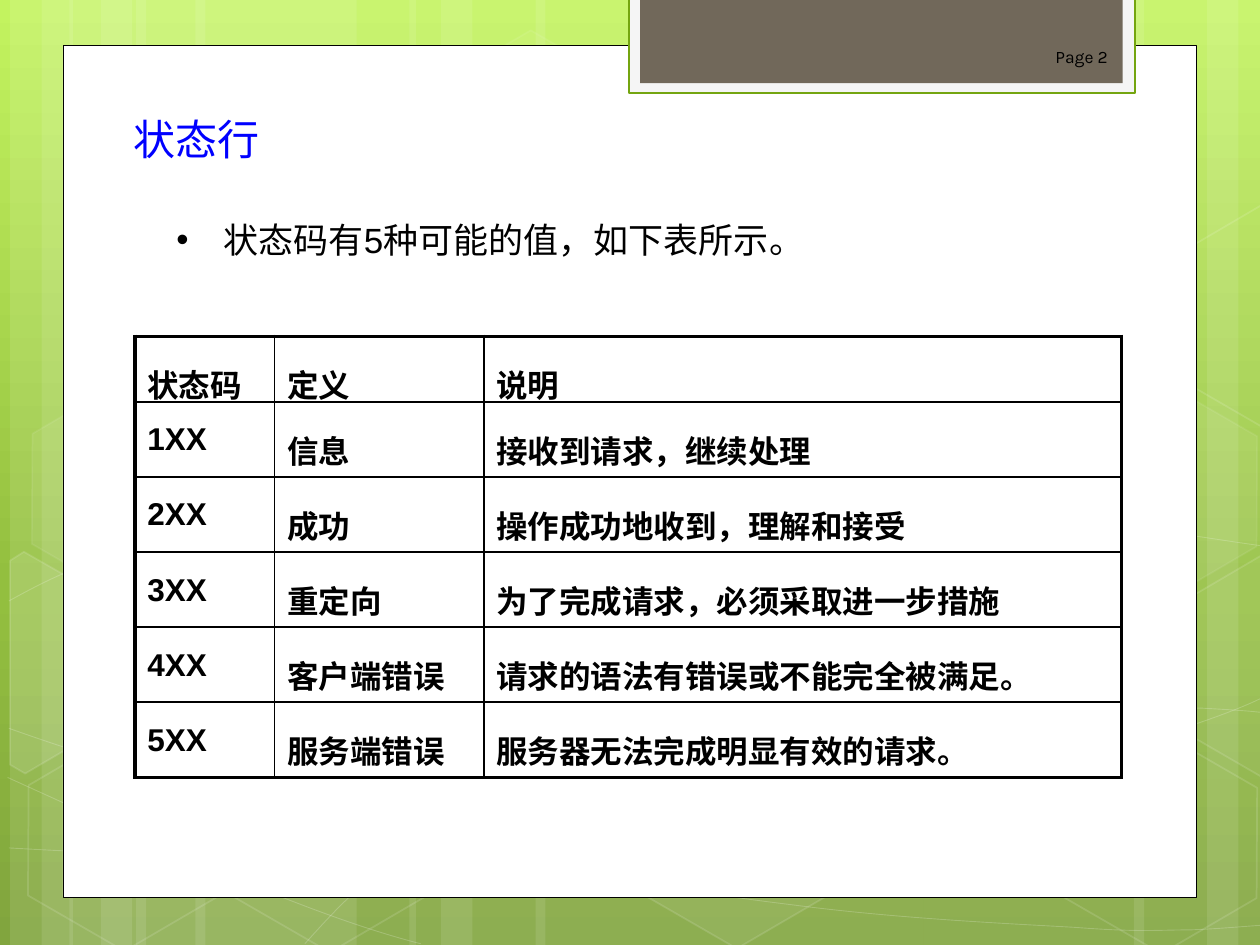
from copy import deepcopy

from lxml.etree import SubElement
from pptx import Presentation
from pptx.dml.color import RGBColor
from pptx.enum.shapes import MSO_SHAPE
from pptx.enum.text import MSO_ANCHOR, MSO_AUTO_SIZE, PP_ALIGN
from pptx.oxml import parse_xml
from pptx.oxml.ns import nsdecls, qn
from pptx.util import Inches, Pt

COLUMNS = 10  # square grid cells across the slide
WHITE, BLACK = "FFFFFF", "000000"

STRIPS = [  # left, width
    (1.08, 1.75), (0.08, 0.5), (0.33, 0.83), (1.55, 1.75), (0.55, 0.5), (0.8, 0.83),
    (7.33, 1.75), (9.58, 0.5), (9, 0.83), (4.25, 3.08), (3.25, 0.5), (3.5, 0.83),
]
CURVES = [  # a start point, then two control points and an end point per segment
    [(0.07, 6.73), (0.61, 6.76), (1.15, 6.79), (1.9, 6.78), (2.65, 6.77), (3.58, 6.75),
     (4.58, 6.65), (5.58, 6.55), (7, 6.36), (7.92, 6.17), (8.83, 5.98), (9.77, 5.68),
     (10.07, 5.51)],
    [(0.07, 4.77), (0.36, 4.61), (0.65, 4.46), (1.21, 4.31), (1.78, 4.16), (2.59, 3.94),
     (3.47, 3.87), (4.36, 3.8), (5.44, 3.79), (6.54, 3.87), (7.64, 3.95), (9.47, 4.26),
     (10.07, 4.34)],
    [(0.06, 6.17), (1.27, 6.72), (2.47, 7.27), (3.34, 7.49)],
    [(0.07, 5.78), (0.38, 5.89), (0.7, 6), (1.28, 6.16), (1.86, 6.31), (2.73, 6.56),
     (3.57, 6.73), (4.4, 6.9), (5.45, 7.08), (6.28, 7.18), (7.11, 7.29), (8, 7.33),
     (8.53, 7.36), (9.05, 7.4), (9.19, 7.38), (9.45, 7.38), (9.71, 7.37), (9.89, 7.35),
     (10.07, 7.34)],
    [(2.42, 7.49), (2.6, 7.29), (2.78, 7.09), (3.02, 6.91), (3.26, 6.73), (3.6, 6.53),
     (3.88, 6.39), (4.16, 6.25), (4.33, 6.19), (4.7, 6.09), (5.06, 5.99), (5.73, 5.85),
     (6.08, 5.78), (6.44, 5.71), (6.49, 5.71), (6.8, 5.69), (7.11, 5.66), (7.6, 5.63),
     (7.94, 5.62), (8.29, 5.61), (8.86, 5.62), (8.86, 5.62), (9.08, 5.62), (9.3, 5.62),
     (9.53, 5.62), (9.71, 5.63), (9.88, 5.64), (9.97, 5.65), (10.06, 5.66), (10.03, 5.65),
     (10.06, 5.66)],
]
HEXAGONS = [  # left, top, fill opacity, line opacity
    (3.34, 0.36, 4, 8), (4.97, 5.89, 6, 12), (0.11, 5.91, 0, 12), (0.14, 3.12, 7, 8),
    (1.74, 5.92, 0, 12), (7.53, 4.53, 10, 12), (8.34, 5.93, 0, 12), (8.34, 3.14, 7, 8),
]
CUT_HEXAGONS = [  # fill opacity, corners
    (10, [(0.08, 4.45), (0.19, 4.38), (0.96, 4.82), (0.95, 5.7), (0.2, 6.14), (0.08, 6.07)]),
    (4, [(9.26, 4.85), (10.01, 4.41), (10.09, 4.46), (10.09, 6.13), (10.02, 6.17), (9.26, 5.73)]),
    (0, [(9.26, 2.07), (10.01, 1.63), (10.1, 1.68), (10.09, 3.35), (10.02, 3.39), (9.26, 2.95)]),
]
STATUS_CODES = [
    ("状态码", "定义", "说明"),
    ("1XX", "信息", "接收到请求，继续处理"),
    ("2XX", "成功", "操作成功地收到，理解和接受"),
    ("3XX", "重定向", "为了完成请求，必须采取进一步措施"),
    ("4XX", "客户端错误", "请求的语法有错误或不能完全被满足。"),
    ("5XX", "服务端错误", "服务器无法完成明显有效的请求。"),
]


def color(hex_code):
    return RGBColor.from_string(hex_code)


def write(frame, text, font="Arial", size=18, ink=BLACK, bold=False,
          align=PP_ALIGN.LEFT, spacing=None, anchor=None):
    if anchor is not None:
        frame.vertical_anchor = anchor
    paragraph = frame.paragraphs[0]
    paragraph.alignment = align
    paragraph.space_before = Pt(0)
    paragraph.line_spacing = spacing
    run = paragraph.add_run()
    run.text = text
    run.font.name, run.font.size, run.font.bold = font, Pt(size), bold
    run.font.color.rgb = color(ink)


def set_opacity(parent, percent):
    shade = parent.find(qn("a:solidFill")).find(qn("a:srgbClr"))
    SubElement(shade, qn("a:alpha")).set("val", str(percent * 1000))


def bend(shape):
    """Turn each three straight segments of an outline into one cubic curve."""
    trail = shape.element.find(".//" + qn("a:path"))
    lines = trail.findall(qn("a:lnTo"))
    for first in range(0, len(lines), 3):
        curve = SubElement(trail, qn("a:cubicBezTo"))
        for line in lines[first:first + 3]:
            curve.append(line[0])
            trail.remove(line)


class SlideBuilder:
    """Holds the slide and its grid; every length is counted in grid cells."""

    def __init__(self, deck):
        self.cell = deck.slide_width / COLUMNS
        self.rows = deck.slide_height / self.cell
        self.slide = deck.slides.add_slide(deck.slide_layouts[1])
        self.shapes = self.slide.shapes

    def span(self, *cells):
        return [round(count * self.cell) for count in cells]

    def background(self, stops, angle):
        fill = self.slide.background.fill
        fill.gradient()
        fill.gradient_angle = angle
        stop_list = self.slide.element.find(".//" + qn("a:gsLst"))
        while len(stop_list) < len(stops):
            stop_list.append(deepcopy(stop_list[0]))
        for stop, (position, shade) in zip(fill.gradient_stops, stops):
            stop.position, stop.color.rgb = position, color(shade)

    def paint(self, shape, fill=WHITE, opacity=100, line=None, width=1, line_opacity=100):
        shape.shadow.inherit = False
        if opacity:
            shape.fill.solid()
            shape.fill.fore_color.rgb = color(fill)
            if opacity < 100:
                set_opacity(shape.element.spPr, opacity)
        else:
            shape.fill.background()
        if line:
            shape.line.color.rgb = color(line)
            shape.line.width = Pt(width)
            if line_opacity < 100:
                set_opacity(shape.element.spPr.find(qn("a:ln")), line_opacity)
        else:
            shape.line.fill.background()

    def preset(self, kind, box, **style):
        shape = self.shapes.add_shape(kind, *self.span(*box))
        self.paint(shape, **style)
        return shape

    def outline(self, points, closed, **style):
        start, *rest = [self.span(*point) for point in points]
        builder = self.shapes.build_freeform(*start, scale=1.0)
        builder.add_line_segments(rest, close=closed)
        shape = builder.convert_to_shape()
        self.paint(shape, line=WHITE, **style)
        return shape

    def hexagon(self, left, top, opacity, line_opacity):
        shape = self.preset(MSO_SHAPE.HEXAGON, (left, top, 1.75, 1.52), opacity=opacity,
                            line=WHITE, line_opacity=line_opacity)
        shape.adjustments[0] = 0.285
        shape.rotation = 30

    def placeholder(self, index, box, text, wrap=True, **style):
        """Fill a placeholder and bring it in front of the backdrop."""
        holder = self.slide.placeholders[index]
        holder.left, holder.top, holder.width, holder.height = self.span(*box)
        holder.element.getparent().append(holder.element)
        frame = holder.text_frame
        frame.word_wrap = wrap
        frame.auto_size = MSO_AUTO_SIZE.SHAPE_TO_FIT_TEXT
        write(frame, text, anchor=MSO_ANCHOR.TOP, **style)

    def label(self, box, text, **style):
        frame = self.shapes.add_textbox(*self.span(*box)).text_frame
        frame.word_wrap = True
        write(frame, text, **style)

    def table(self, left, top, widths, heights, content):
        last_row, last_column = len(heights) - 1, len(widths) - 1
        box = self.span(left, top, sum(widths), sum(heights))
        table = self.shapes.add_table(len(heights), len(widths), *box).table
        table.first_row = table.horz_banding = False
        for column, width in zip(table.columns, self.span(*widths)):
            column.width = width
        for row, height in zip(table.rows, self.span(*heights)):
            row.height = height
        for r, texts in enumerate(content):
            for c, text in enumerate(texts):
                cell = table.cell(r, c)
                write(cell.text_frame, text, bold=True, spacing=1.4)
                cell.fill.background()
                self.borders(cell, L=c == 0, R=c == last_column, T=r == 0, B=r == last_row)

    def borders(self, cell, **outer_sides):
        """Rule every side of a cell, thicker on the table's outer edge."""
        properties = cell._tc.get_or_add_tcPr()
        for position, (side, outer) in enumerate(outer_sides.items()):
            properties.insert(position, parse_xml(
                f'<a:ln{side} {nsdecls("a")} w="{Pt(2.25 if outer else 1)}"><a:solidFill>'
                f'<a:srgbClr val="{BLACK}"/></a:solidFill></a:ln{side}>'))


def main():
    deck = Presentation()
    deck.slide_width, deck.slide_height = Inches(10), Inches(7.5)
    page = SlideBuilder(deck)

    page.background([(0, "C3F35F"), (0.62, "93BF3F"), (1, "81A53E")], angle=270)
    for left, width in STRIPS:
        page.preset(MSO_SHAPE.RECTANGLE, (left, 0, width, page.rows), opacity=10)
    for points in CURVES:
        bend(page.outline(points, False, opacity=0, width=0.5, line_opacity=20))
    for hexagon in HEXAGONS:
        page.hexagon(*hexagon)
    for opacity, corners in CUT_HEXAGONS:
        page.outline(corners, True, opacity=opacity, line_opacity=12)

    page.preset(MSO_SHAPE.RECTANGLE, (0.5, 0.36, 9, 6.76), line=BLACK, width=0.5)
    page.preset(MSO_SHAPE.RECTANGLE, (4.99, -0.02, 4.02, 0.76), fill="F5F5F5",
                line="74A510", width=1.25)
    page.preset(MSO_SHAPE.RECTANGLE, (5.08, -0.02, 3.83, 0.68), fill="71685A")

    page.label((6.56, 0.25, 2.33, 0.4), "Page 2", font="Karla", size=10,
               align=PP_ALIGN.RIGHT, anchor=MSO_ANCHOR.MIDDLE)
    page.placeholder(0, (0.96, 0.85, 1.21, 0.5), "状态行", wrap=False,
                     font="League Spartan", size=24, ink="0000FF")
    page.placeholder(1, (1.3, 1.62, 6.94, 0.49), "状态码有5种可能的值，如下表所示。",
                     size=20, spacing=1.2)
    page.table(1.07, 2.67, (1.11, 1.66, 5.06), [0.45] + [2.98 / 5] * 5, STATUS_CODES)

    deck.save("out.pptx")


if __name__ == "__main__":
    main()
